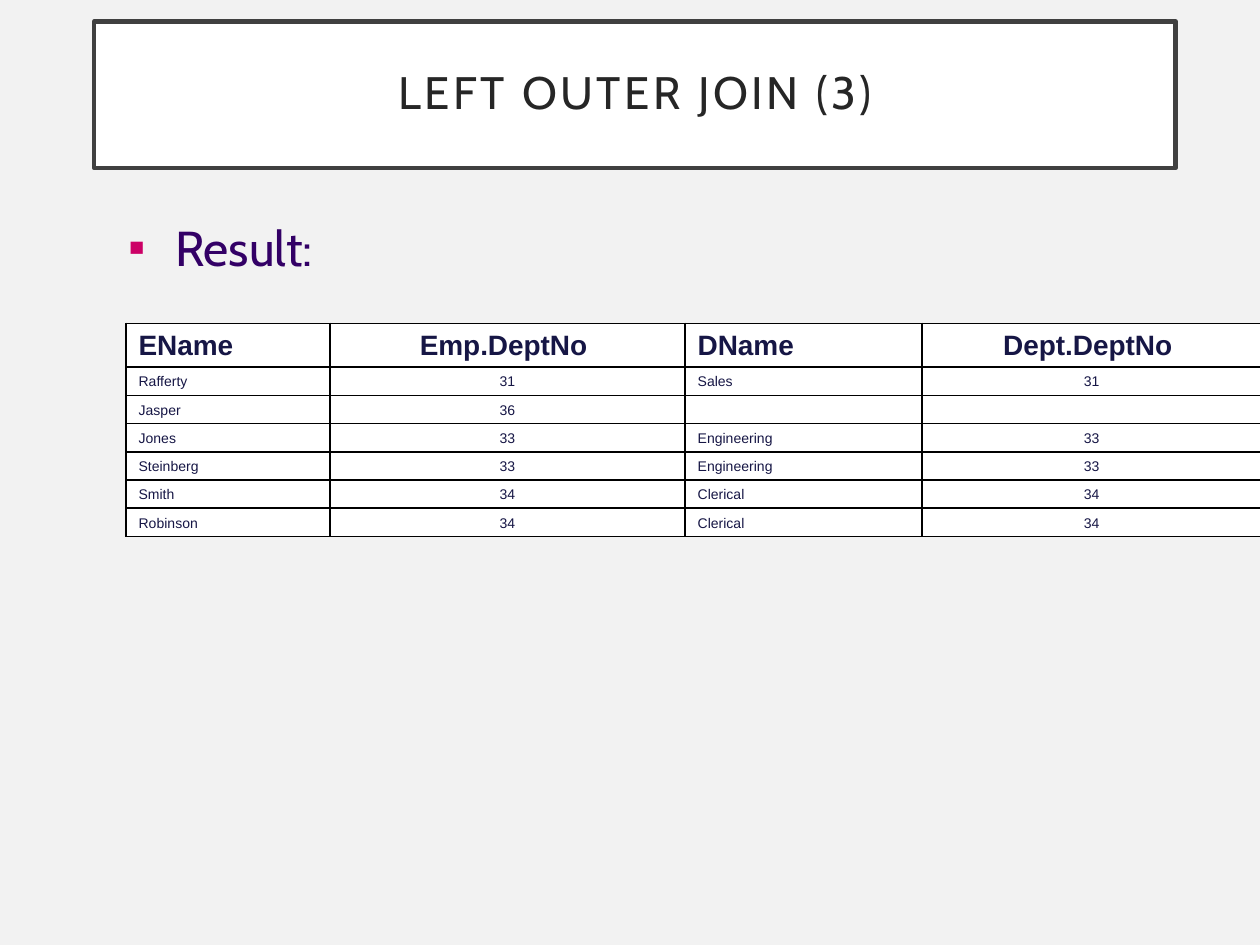
"""Build the slide that shows the result of a left outer join."""
from lxml.etree import SubElement
from pptx import Presentation
from pptx.dml.color import RGBColor
from pptx.enum.text import MSO_ANCHOR, MSO_AUTO_SIZE, PP_ALIGN
from pptx.oxml.ns import qn
from pptx.util import Cm, Pt

MIDDLE, BOTTOM = MSO_ANCHOR.MIDDLE, MSO_ANCHOR.BOTTOM
LEFT, CENTER = PP_ALIGN.LEFT, PP_ALIGN.CENTER
FIXED = MSO_AUTO_SIZE.NONE

TITLE = "LEFT OUTER JOIN (3)"
LEAD = "Result:"
ROWS = [
    ("EName", "Emp.DeptNo ", "DName", "Dept.DeptNo "),
    ("Rafferty", "31", "Sales", "31"),
    ("Jasper", "36", "", ""),
    ("Jones", "33", "Engineering", "33"),
    ("Steinberg", "33", "Engineering", "33"),
    ("Smith", "34", "Clerical", "34"),
    ("Robinson", "34", "Clerical", "34"),
]
WIDTHS = (4.11, 7.16, 4.78, 6.83)
ALIGNS = (LEFT, CENTER, LEFT, CENTER)
HEAD, LINE = 0.88, 0.57
COLORS = {
    "back": "F2F2F2", "white": "FFFFFF", "frame": "404040", "title": "262626",
    "lead": "330066", "bullet": "CC0066", "cell": "161645", "grid": "000000",
}


def color(name):
    return RGBColor.from_string(COLORS[name])


def paint(fill, name):
    fill.solid()
    fill.fore_color.rgb = color(name)


def style(par, font, size, name, bold=False):
    for run in par.runs:
        run.font.name = font
        run.font.size = Pt(size)
        run.font.bold = bold
        run.font.color.rgb = color(name)


def place(shape, left, top, width, height):
    shape.left, shape.top = Cm(left), Cm(top)
    shape.width, shape.height = Cm(width), Cm(height)


def add_color(parent, name):
    SubElement(parent, qn("a:srgbClr"), val=COLORS[name])


def add_title(shape):
    place(shape, 1.9, 0.43, 21.8, 2.96)
    paint(shape.fill, "white")
    shape.line.color.rgb = color("frame")
    shape.line.width = Pt(2.5)
    frame = shape.text_frame
    frame.text = TITLE
    frame.auto_size = FIXED
    frame.vertical_anchor = MIDDLE
    frame.margin_left = frame.margin_right = Cm(0.5)
    frame.margin_top = frame.margin_bottom = Cm(0.5)
    par = frame.paragraphs[0]
    par.alignment = CENTER
    par.line_spacing = 0.9
    style(par, "Cabin", 26, "title")
    par.runs[0].font._element.set("spc", "200")


def add_lead(shape):
    place(shape, 2.33, 4.25, 21.8, 2.75)
    frame = shape.text_frame
    frame.text = LEAD
    frame.auto_size = FIXED
    par = frame.paragraphs[0]
    par.space_before = Pt(5.6)
    style(par, "Cabin", 28, "lead")
    props = par._p.get_or_add_pPr()
    props.set("marL", str(Cm(0.95)))
    props.set("indent", str(-Cm(0.95)))
    add_color(SubElement(props, qn("a:buClr")), "bullet")
    SubElement(props, qn("a:buFont"), typeface="Arial")
    SubElement(props, qn("a:buChar"), char="▪")


def add_grid(cell):
    props = cell._tc.get_or_add_tcPr()
    for i, side in enumerate(("lnL", "lnR", "lnT", "lnB")):
        edge = props.makeelement(qn("a:" + side), {"w": str(Pt(1))})
        add_color(SubElement(edge, qn("a:solidFill")), "grid")
        props.insert(i, edge)


def fill_cell(cell, text, align, head):
    size = 16 if head else 8
    paint(cell.fill, "white")
    cell.vertical_anchor = BOTTOM
    cell.margin_top = cell.margin_bottom = Cm(0.11)
    par = cell.text_frame.paragraphs[0]
    par.text = text
    par.alignment = align
    style(par, "Arial", size, "cell", head)
    if not text:
        SubElement(par._p, qn("a:endParaRPr"), sz=str(size * 100))
    add_grid(cell)


def add_result(slide):
    tall = HEAD + LINE * (len(ROWS) - 1)
    table = slide.shapes.add_table(
        len(ROWS), len(WIDTHS), Cm(2.54), Cm(6.52), Cm(sum(WIDTHS)), Cm(tall)
    ).table
    table.first_row = table.horz_banding = False
    for col, width in zip(table.columns, WIDTHS):
        col.width = Cm(width)
    for r, row in enumerate(ROWS):
        table.rows[r].height = Cm(LINE if r else HEAD)
        for c, text in enumerate(row):
            fill_cell(table.cell(r, c), text, ALIGNS[c], r == 0)


def main():
    deck = Presentation()
    deck.slide_width, deck.slide_height = Cm(25.4), Cm(19.05)
    slide = deck.slides.add_slide(deck.slide_layouts[1])
    paint(slide.background.fill, "back")
    add_title(slide.shapes.title)
    add_result(slide)
    add_lead(slide.placeholders[1])
    deck.save("out.pptx")


if __name__ == "__main__":
    main()
